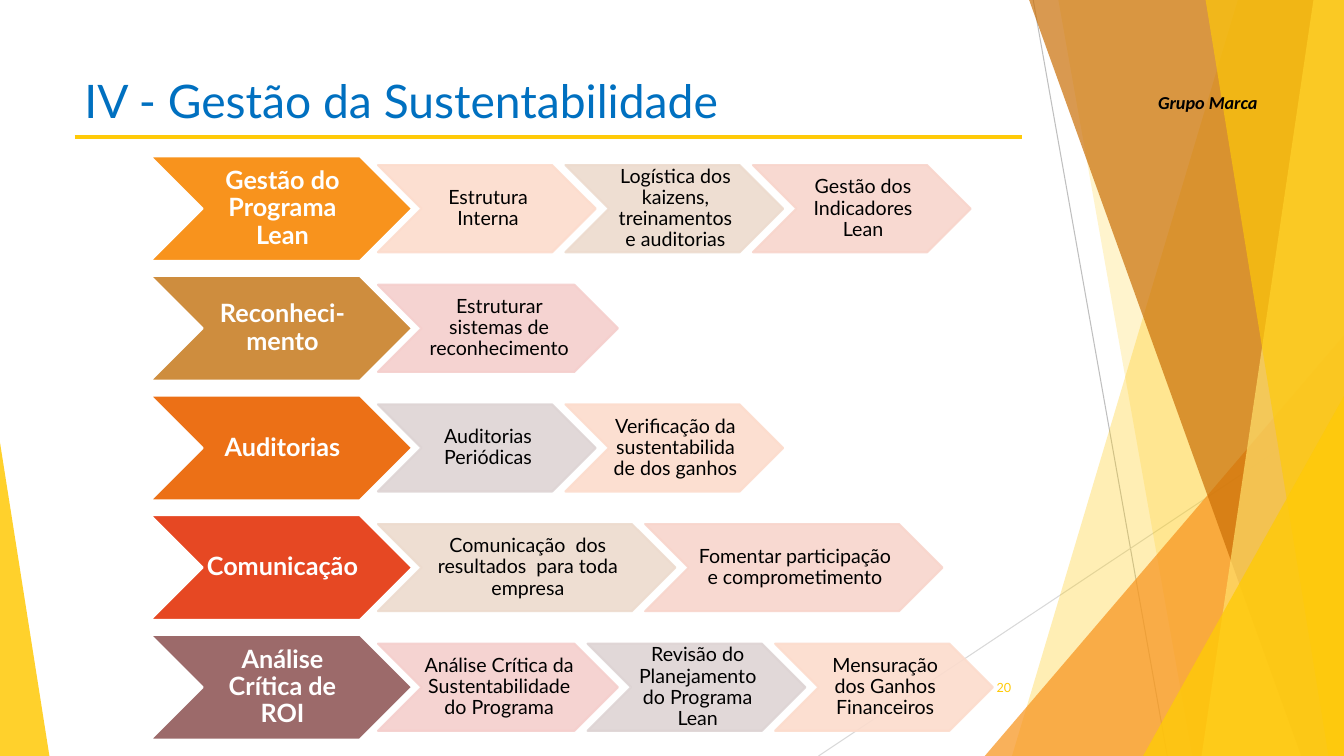
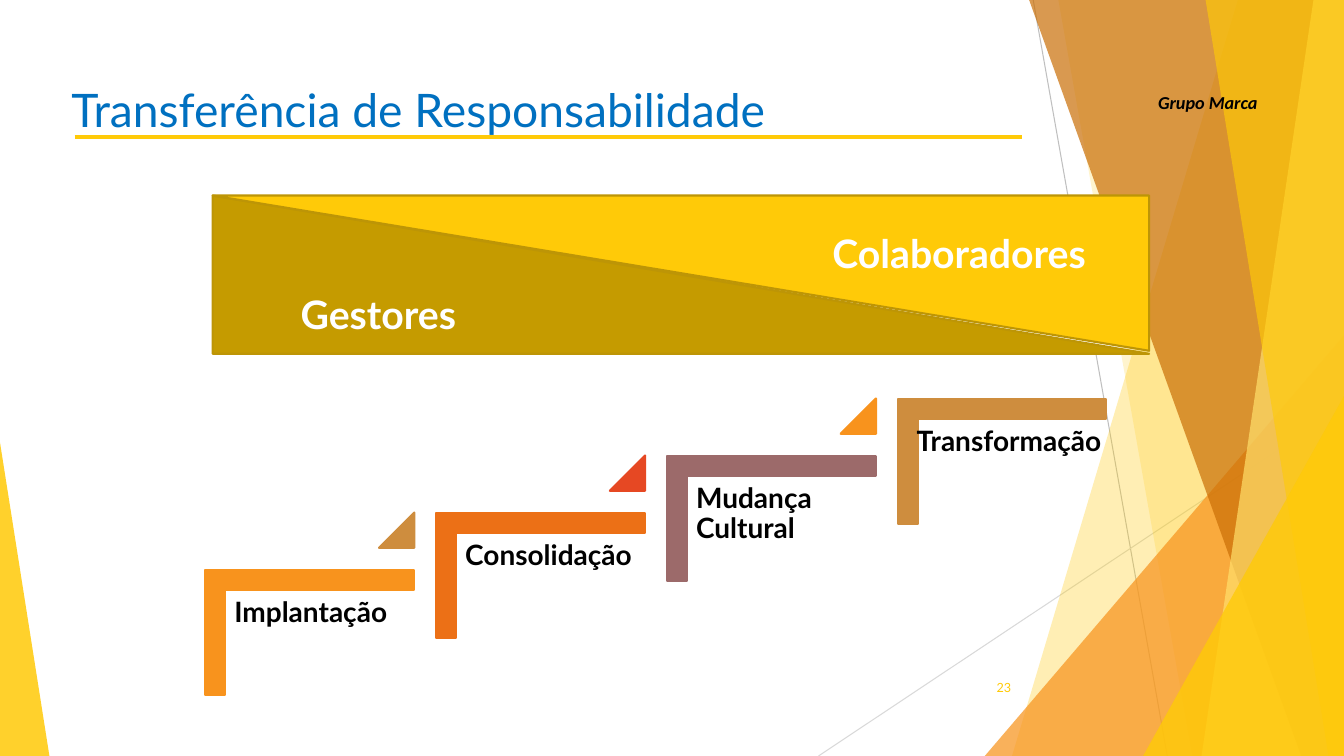
from dataclasses import dataclass
from itertools import cycle

from lxml.etree import SubElement
from pptx import Presentation
from pptx.dml.color import RGBColor
from pptx.enum.shapes import MSO_CONNECTOR, MSO_SHAPE
from pptx.enum.text import MSO_ANCHOR, PP_ALIGN
from pptx.oxml.ns import qn
from pptx.util import Inches, Pt

COLUMNS, ROWS = 133.33, 75
CELL = Inches(0.1)


@dataclass(frozen=True)
class Theme:
    font: str = "Lato"
    brand_font: str = "Calibri"
    black: str = "000000"
    white: str = "FFFFFF"
    blue: str = "0070C0"
    yellow: str = "FFCA08"
    pale_yellow: str = "FFDF6B"
    dark_yellow: str = "C59B00"
    edge: str = "BD9506"
    orange: str = "F8931D"
    ochre: str = "CE8D3E"
    pumpkin: str = "EC7016"
    red: str = "E64823"
    plum: str = "9C6A6A"
    brown: str = "CA6F06"
    gray: str = "BFBFBF"
    light_gray: str = "D9D9D9"
    tints: tuple = ("FCDCCD", "EDDBCE", "F8D5CC", "F5CFCD", "DED4D4")
    title_size: float = 33
    band_size: float = 28
    stair_size: float = 20
    lead_size: float = 18
    step_size: float = 14
    brand_size: float = 13
    number_size: float = 9
    outline: float = 1.5


THEME = Theme()


def cells(*lengths):
    """Turn grid cells into slide lengths."""
    return [round(length * CELL) for length in lengths]


def write_text(shape, text, *, size, color=THEME.black, font=THEME.font, bold=False,
               italic=False, align=PP_ALIGN.LEFT, anchor=MSO_ANCHOR.TOP,
               spacing=None, margins=(1, 0.5, 1, 0.5)):
    """Margins are grid cells: left, top, right, bottom."""
    frame = shape.text_frame
    frame.word_wrap = True
    frame.vertical_anchor = anchor
    (frame.margin_left, frame.margin_top,
     frame.margin_right, frame.margin_bottom) = cells(*margins)
    paragraph = frame.paragraphs[0]
    paragraph.alignment = align
    if spacing:
        paragraph.line_spacing = spacing
    run = paragraph.add_run()
    run.text = text
    run.font.name = font
    run.font.size = Pt(size)
    run.font.bold = bold
    run.font.italic = italic
    run.font.color.rgb = RGBColor.from_string(color)


class Deck:
    def __init__(self, theme):
        self.theme = theme
        self.presentation = Presentation()
        self.presentation.slide_width, self.presentation.slide_height = cells(COLUMNS, ROWS)
        self.slide = None

    def start_slide(self):
        self.slide = self.presentation.slides.add_slide(self.presentation.slide_layouts[6])
        self.add_backdrop()

    def paint(self, shape, fill, line=None, opacity=100):
        shape.shadow.inherit = False
        shape.fill.solid()
        shape.fill.fore_color.rgb = RGBColor.from_string(fill)
        if line:
            shape.line.color.rgb = RGBColor.from_string(line)
            shape.line.width = Pt(self.theme.outline)
        else:
            shape.line.fill.background()
        if opacity < 100:
            for color in shape.element.spPr.iter(qn("a:srgbClr")):
                SubElement(color, qn("a:alpha")).set("val", str(opacity * 1000))

    def add_shape(self, kind, box, fill, line=None, opacity=100, adjustments=(), rotation=0):
        shape = self.slide.shapes.add_shape(kind, *cells(*box))
        for index, value in enumerate(adjustments):
            shape.adjustments[index] = value
        shape.rotation = rotation
        self.paint(shape, fill, line, opacity)
        return shape

    def add_angle(self, box, color, thickness):
        """Add the L-shaped "corner" preset, which MSO_SHAPE does not list."""
        shape = self.add_shape(MSO_SHAPE.RECTANGLE, box, color, color, rotation=90)
        geometry = shape.element.spPr.find(qn("a:prstGeom"))
        geometry.set("prst", "corner")
        guides = geometry.find(qn("a:avLst"))
        for name in ("adj1", "adj2"):
            guide = SubElement(guides, qn("a:gd"))
            guide.set("name", name)
            guide.set("fmla", f"val {round(thickness * 100000)}")

    def add_text(self, text, box, **text_format):
        write_text(self.slide.shapes.add_textbox(*cells(*box)), text, **text_format)

    def add_line(self, start, end, color, width):
        line = self.slide.shapes.add_connector(MSO_CONNECTOR.STRAIGHT, *cells(*start, *end))
        line.line.color.rgb = RGBColor.from_string(color)
        line.line.width = Pt(width)
        SubElement(line.element.spPr, qn("a:effectLst"))

    def add_side_band(self, top_column, bottom_column, fill, opacity):
        """Fill from a slanted left edge to the right side of the slide."""
        corners = [(top_column, 0), (COLUMNS, 0), (COLUMNS, ROWS), (bottom_column, ROWS)]
        points = [cells(*corner) for corner in corners]
        builder = self.slide.shapes.build_freeform(*points[0])
        builder.add_line_segments(points[1:], close=True)
        self.paint(builder.convert_to_shape(), fill, opacity=opacity)

    def add_corner_triangle(self, left, top, width, peak, fill, opacity):
        """Stand a triangle on the bottom edge of the slide."""
        self.add_shape(MSO_SHAPE.ISOSCELES_TRIANGLE, (left, top, width, ROWS - top),
                       fill, opacity=opacity, adjustments=[peak])

    def add_backdrop(self):
        theme = self.theme
        self.add_line((102.5, 0), (115.8, ROWS), theme.gray, 0.75)
        self.add_line((COLUMNS, 40.3), (81.2, ROWS), theme.light_gray, 0.75)
        self.add_side_band(122.8, 100.4, theme.yellow, 30)
        self.add_side_band(105, 118.3, theme.yellow, 20)
        self.add_corner_triangle(97.7, 33.3, 35.63, 1, theme.orange, 72)
        self.add_side_band(102.1, 129.1, theme.brown, 70)
        self.add_side_band(130.3, 119.2, theme.pale_yellow, 70)
        self.add_side_band(119.6, 131.8, theme.yellow, 65)
        self.add_corner_triangle(113.4, 39.3, 19.93, 1, theme.yellow, 80)
        self.add_corner_triangle(0, 43.9, 4.9, 0, theme.yellow, 85)
        self.add_text("Grupo Marca", (113.9, 8.6, 12.6, 3.6), size=theme.brand_size,
                      font=theme.brand_font, bold=True, italic=True)
        self.add_line((7.4, 13.6), (101.4, 13.6), theme.yellow, 3)

    def add_title(self, text, left, top):
        self.add_text(text, (left, top, 94, 6.9), size=self.theme.title_size,
                      color=self.theme.blue)

    def add_number(self, number):
        self.add_text(str(number), (93.9, 66.2, 7.4, 3.9), size=self.theme.number_size,
                      color=self.theme.yellow, align=PP_ALIGN.RIGHT, anchor=MSO_ANCHOR.MIDDLE)

    def add_chevron(self, text, box, fill, line, opacity=100, **text_format):
        shape = self.add_shape(MSO_SHAPE.CHEVRON, box, fill, line, opacity)
        write_text(shape, text, align=PP_ALIGN.CENTER, anchor=MSO_ANCHOR.MIDDLE,
                   spacing=0.9, margins=(0.25, 0.1, 0, 0.1), **text_format)

    def add_chevron_row(self, top, lead, color, steps, tints):
        theme = self.theme
        self.add_chevron(lead, (14.9, top, 26, 10.4), color, theme.white,
                         size=theme.lead_size, color=theme.white, bold=True)
        left = 37.5
        for text, width in steps:
            tint = next(tints)
            self.add_chevron(text, (left, top + 0.88, width, 8.64), tint, tint, 90,
                             size=theme.step_size)
            left += width - 3

    def add_stair(self, left, top, text, color, text_width, marker_color):
        self.add_angle((left, top, 12.4, 20.7), color, 0.16)
        text_left = left + 7.3 - text_width / 2
        self.add_text(text, (text_left, top + 6.15, text_width, 16.4),
                      size=self.theme.stair_size, bold=True, spacing=0.9, margins=[0.8] * 4)
        if marker_color:
            self.add_shape(MSO_SHAPE.ISOSCELES_TRIANGLE, (left + 13.1, top - 1.55, 3.5, 3.5),
                           marker_color, marker_color, adjustments=[1])


def build_sustainability(deck):
    theme = deck.theme
    narrow, medium, wide = 21.6, 23.8, 29.5
    rows = [
        ("Gestão do Programa Lean", theme.orange,
         [("Estrutura Interna", narrow),
          ("Logística dos kaizens, treinamentos e auditorias", narrow),
          ("Gestão dos Indicadores Lean", narrow)]),
        ("Reconheci-mento", theme.ochre,
         [("Estruturar sistemas de reconhecimento", medium)]),
        ("Auditorias", theme.pumpkin,
         [("Auditorias Periódicas", narrow),
          ("Verificação da sustentabilidade dos ganhos", narrow)]),
        ("Comunicação", theme.red,
         [("Comunicação  dos resultados  para toda empresa", wide),
          ("Fomentar participação e comprometimento", wide)]),
        ("Análise Crítica de ROI", theme.plum,
         [("Análise Crítica da Sustentabilidade do Programa", medium),
          ("Revisão do Planejamento do Programa Lean", narrow),
          ("Mensuração dos Ganhos Financeiros", narrow)]),
    ]
    deck.start_slide()
    tints = cycle(theme.tints)
    for index, (lead, color, steps) in enumerate(rows):
        deck.add_chevron_row(15.5 + 11.87 * index, lead, color, steps, tints)
    deck.add_title("IV - Gestão da Sustentabilidade", 7.4, 6.7)
    deck.add_number(20)


def build_responsibility(deck):
    theme = deck.theme
    stairs = [
        ("Implantação", theme.orange, 18.7, theme.ochre),
        ("Consolidação", theme.pumpkin, 18.7, theme.red),
        ("Mudança Cultural", theme.plum, 18.7, theme.orange),
        ("Transformação", theme.ochre, 20.7, None),
    ]
    deck.start_slide()
    for index, stair in enumerate(stairs):
        deck.add_stair(24.5 + 22.9 * index, 52.4 - 5.66 * index, *stair)

    band_text = {"size": theme.band_size, "color": theme.white, "bold": True,
                 "anchor": MSO_ANCHOR.MIDDLE}
    managers = deck.add_shape(MSO_SHAPE.RIGHT_TRIANGLE, (21.1, 19.4, 92.9, 15.7),
                              theme.dark_yellow, theme.edge)
    write_text(managers, "Gestores", **band_text)
    deck.add_shape(MSO_SHAPE.RIGHT_TRIANGLE, (21.1, 19.4, 92.9, 15.4),
                   theme.yellow, theme.edge, rotation=180)
    staff = deck.add_shape(MSO_SHAPE.RECTANGLE, (80.6, 23.1, 29.1, 3.9), theme.yellow)
    write_text(staff, "Colaboradores", align=PP_ALIGN.CENTER, **band_text)
    deck.add_title("Transferência de Responsabilidade", 6.1, 7.6)
    deck.add_number(23)


def main():
    deck = Deck(THEME)
    build_sustainability(deck)
    build_responsibility(deck)
    deck.presentation.save("out.pptx")


if __name__ == "__main__":
    main()
